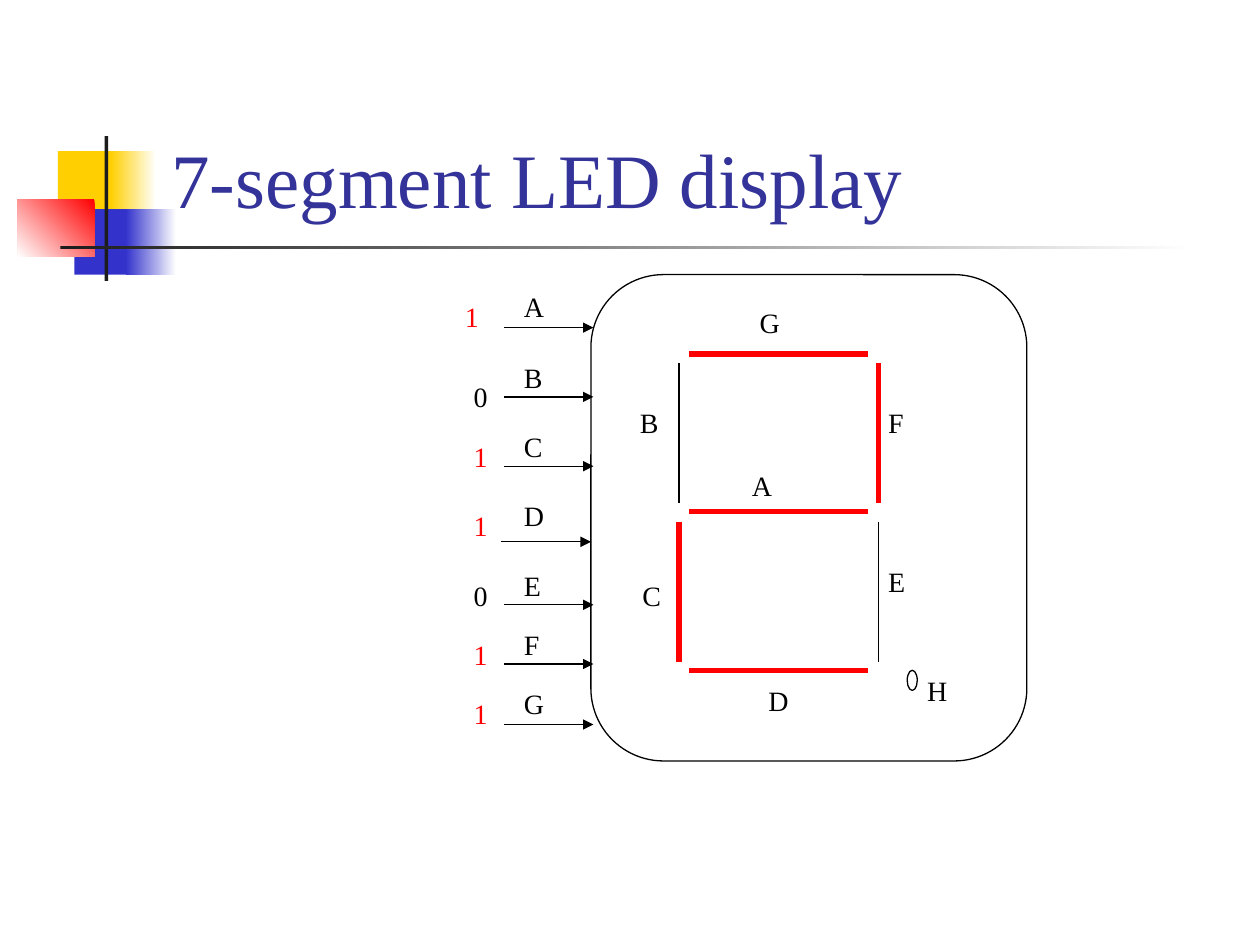
from lxml import etree
from pptx import Presentation
from pptx.dml.color import RGBColor
from pptx.enum.shapes import MSO_CONNECTOR, MSO_SHAPE
from pptx.enum.text import MSO_ANCHOR, MSO_AUTO_SIZE, PP_ALIGN
from pptx.oxml.ns import qn
from pptx.util import Inches, Pt

RECTANGLE = MSO_SHAPE.RECTANGLE
ROUNDED = MSO_SHAPE.ROUNDED_RECTANGLE
OVAL = MSO_SHAPE.OVAL
STRAIGHT = MSO_CONNECTOR.STRAIGHT
BOTTOM = MSO_ANCHOR.BOTTOM
LEFT = PP_ALIGN.LEFT
FIT_SHAPE = MSO_AUTO_SIZE.SHAPE_TO_FIT_TEXT
NO_FIT = MSO_AUTO_SIZE.NONE

FONT = "Times New Roman"
COLORS = {
    "yellow": "FFCF01",
    "blue": "3333CC",
    "red": "FF0000",
    "dark": "1C1C1C",
    "white": "FFFFFF",
    "black": "000000",
    "title": "333399",
}
LABEL_WIDTHS = {"A": 0.36, "B": 0.35, "C": 0.35, "D": 0.36, "E": 0.33,
                "F": 0.32, "G": 0.36, "H": 0.36, "0": 0.31, "1": 0.31}
LABEL_HEIGHT = 0.37

DECORATION = [
    ((0.46, 1.2, 0.48, 0.52), "yellow", None),
    ((0.88, 1.2, 0.36, 0.52), "yellow", 0),
    ((0.59, 1.66, 0.46, 0.52), "blue", None),
    ((1, 1.66, 0.4, 0.52), "blue", 0),
    ((0.14, 1.58, 0.61, 0.46), "red", 225),
    ((0.83, 1.08, 0.03, 1.15), "dark", None),
    ((0.48, 1.95, 9, 0.03), "dark", 0),
]

SEGMENTS = {
    "A": ((5.47, 4.06, 6.89, 4.06), (5.87, 3.67)),
    "B": ((5.39, 2.88, 5.39, 3.99), (4.98, 3.17)),
    "C": ((5.39, 4.14, 5.39, 5.25), (5, 4.54)),
    "D": ((5.47, 5.32, 6.89, 5.32), (6, 5.38)),
    "E": ((6.97, 4.14, 6.97, 5.25), (6.95, 4.43)),
    "F": ((6.97, 2.88, 6.97, 3.99), (6.95, 3.17)),
    "G": ((5.47, 2.81, 6.89, 2.81), (5.93, 2.38)),
}

INPUTS = [
    ("A", "1", 4, 2.6, 2.25, (3.59, 2.33)),
    ("B", "0", 4, 3.15, 2.81, (3.66, 2.96)),
    ("C", "1", 4, 3.7, 3.36, (3.66, 3.44)),
    ("D", "1", 3.98, 4.3, 3.91, (3.66, 3.99)),
    ("E", "0", 4, 4.8, 4.46, (3.66, 4.54)),
    ("F", "1", 4, 5.27, 4.93, (3.66, 5.01)),
    ("G", "1", 4, 5.75, 5.4, (3.66, 5.48)),
]


def color(name):
    return RGBColor.from_string(COLORS[name])


def add_block(slide, box, fill, angle):
    shape = slide.shapes.add_shape(RECTANGLE, *map(Inches, box))
    shape.shadow.inherit = False
    shape.line.fill.background()
    if angle is None:
        shape.fill.solid()
        shape.fill.fore_color.rgb = color(fill)
        return
    shape.fill.gradient()
    shape.fill.gradient_angle = angle
    for stop, name in zip(shape.fill.gradient_stops, (fill, "white")):
        stop.color.rgb = color(name)


def add_outline(slide, kind, box):
    shape = slide.shapes.add_shape(kind, *map(Inches, box))
    shape.shadow.inherit = False
    shape.fill.background()
    shape.line.color.rgb = color("black")
    shape.line.width = Pt(0.75)


def add_line(slide, ends, line_color="black", width=0.75, arrow=False):
    connector = slide.shapes.add_connector(STRAIGHT, *map(Inches, ends))
    connector.line.color.rgb = color(line_color)
    connector.line.width = Pt(width)
    properties = connector._element.spPr
    if arrow:
        etree.SubElement(properties.find(qn("a:ln")), qn("a:tailEnd"), type="triangle")
    etree.SubElement(properties, qn("a:effectLst"))


def add_run(paragraph, text, size, text_color):
    paragraph.alignment = LEFT
    run = paragraph.add_run()
    run.text = text
    run.font.name = FONT
    run.font.size = Pt(size)
    run.font.color.rgb = color(text_color)


def add_label(slide, text, position, text_color="black"):
    box = (*position, LABEL_WIDTHS[text], LABEL_HEIGHT)
    shape = slide.shapes.add_textbox(*map(Inches, box))
    frame = shape.text_frame
    frame.word_wrap = False
    frame.auto_size = FIT_SHAPE
    add_run(frame.paragraphs[0], text, 16, text_color)


def set_title(slide, text):
    title = slide.shapes.title
    title.left, title.top, title.width, title.height = map(Inches, (1.26, 0.23, 8.52, 1.6))
    frame = title.text_frame
    frame.word_wrap = True
    frame.auto_size = NO_FIT
    frame.vertical_anchor = BOTTOM
    add_run(frame.paragraphs[0], text, 44, "title")


def add_display(slide):
    add_outline(slide, ROUNDED, (4.69, 2.18, 3.46, 3.86))
    lit = {name for name, value, *_ in INPUTS if value == "1"}
    for name, (ends, position) in SEGMENTS.items():
        if name in lit:
            add_line(slide, ends, "red", 3)
        else:
            add_line(slide, ends)
        add_label(slide, name, position)
    add_outline(slide, OVAL, (7.2, 5.32, 0.08, 0.16))
    add_label(slide, "H", (7.26, 5.3))


def add_inputs(slide):
    for name, value, start, arrow_y, label_y, value_position in INPUTS:
        add_line(slide, (start, arrow_y, start + 0.71, arrow_y), arrow=True)
        add_label(slide, name, (4.06, label_y))
        add_label(slide, value, value_position, "red" if value == "1" else "black")


def main():
    presentation = Presentation()
    presentation.slide_width = Inches(10)
    presentation.slide_height = Inches(7.5)
    slide = presentation.slides.add_slide(presentation.slide_layouts[5])
    for box, fill, angle in DECORATION:
        add_block(slide, box, fill, angle)
    set_title(slide, "7-segment LED display")
    add_display(slide)
    add_inputs(slide)
    presentation.save("out.pptx")


if __name__ == "__main__":
    main()
